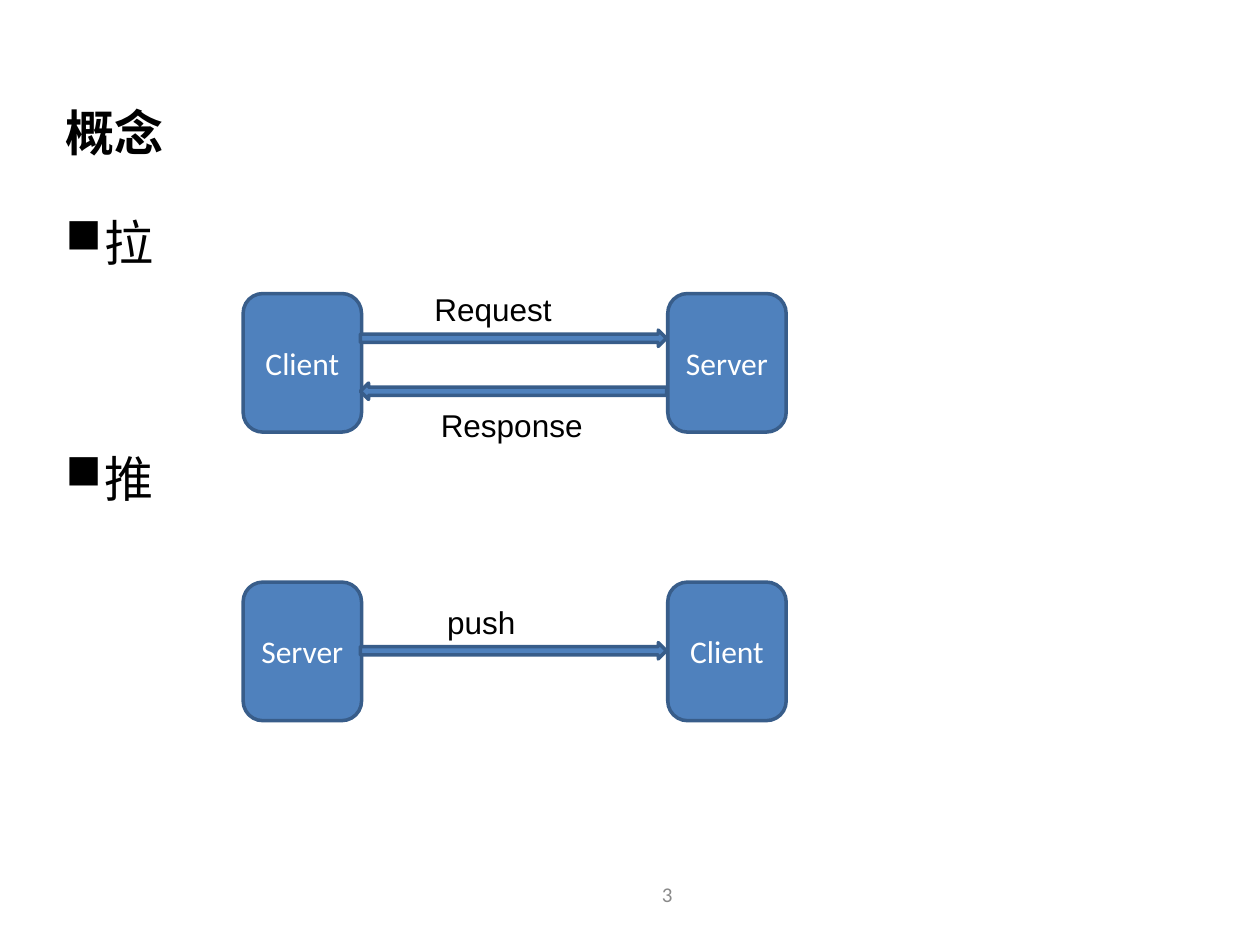
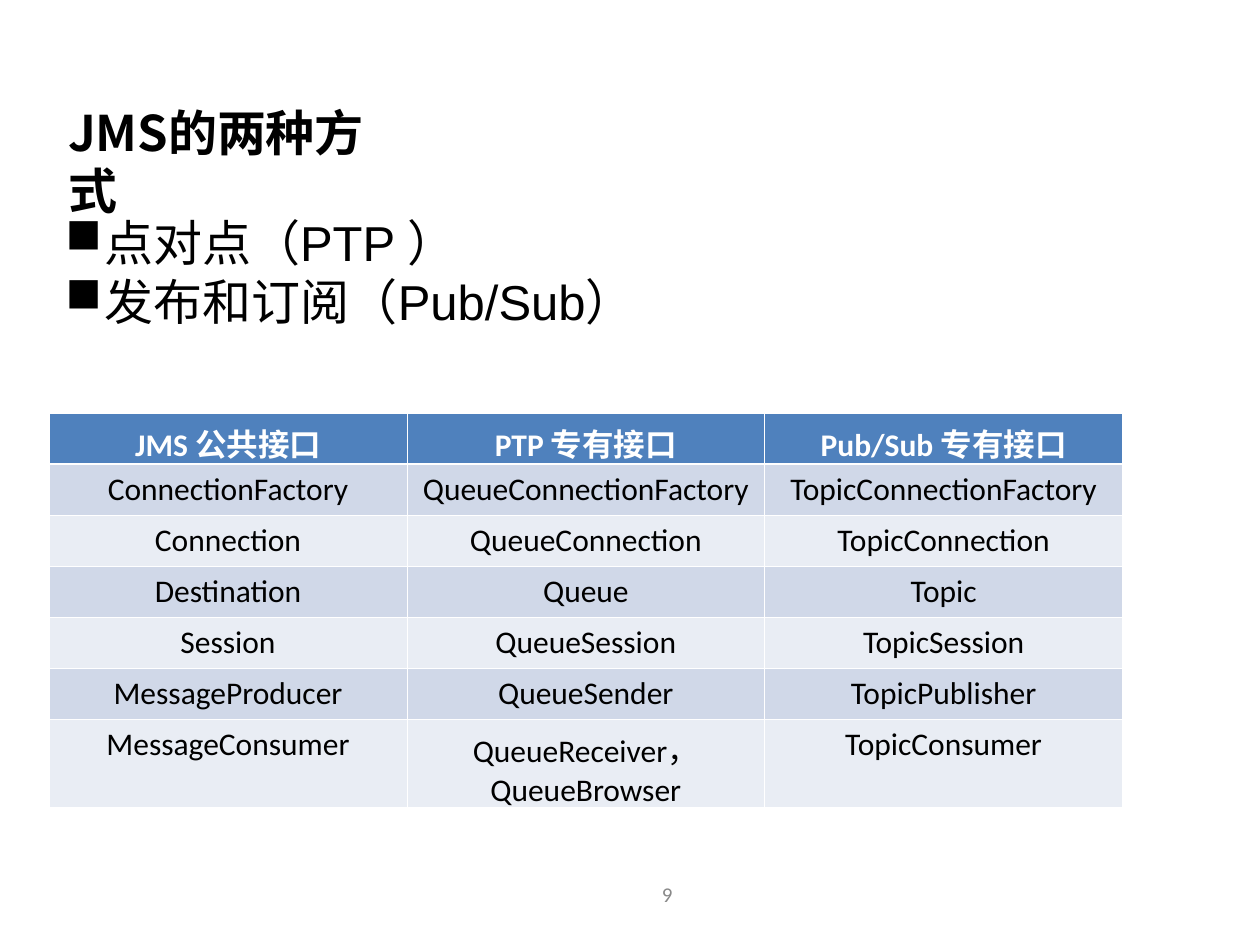
from lxml import etree
from pptx import Presentation
from pptx.dml.color import RGBColor
from pptx.enum import shapes, text
from pptx.oxml import ns
from pptx.util import Inches, Pt

COLORS = {
    "ink": "000000",
    "paper": "FFFFFF",
    "blue": "4F81BD",
    "edge": "385D8A",
    "number": "898989",
    "band_dark": "D0D8E8",
    "band_light": "E9EDF4",
}
CJK = "Noto Sans CJK SC"
INTERFACES = [
    ("JMS 公共接口", "PTP 专有接口", "Pub/Sub 专有接口"),
    ("ConnectionFactory", "QueueConnectionFactory", "TopicConnectionFactory"),
    ("Connection", "QueueConnection", "TopicConnection"),
    ("Destination", "Queue", "Topic"),
    ("Session", "QueueSession", "TopicSession"),
    ("MessageProducer", "QueueSender", "TopicPublisher"),
    ("MessageConsumer", "QueueReceiver，QueueBrowser", "TopicConsumer"),
]


def rgb(name):
    """Return the named colour."""
    return RGBColor.from_string(COLORS[name])


def style(p, size, name, color="ink", bold=False, align=text.PP_ALIGN.LEFT):
    """Set alignment and font of a paragraph, with one font for Chinese."""
    p.alignment = align
    font = p.font
    font.size, font.name, font.bold = Pt(size), name, bold
    font.color.rgb = rgb(color)
    r_pr = p._p.pPr.find(ns.qn("a:defRPr"))
    etree.SubElement(r_pr, ns.qn("a:ea"), typeface=CJK)


def add_text(slide, box, content, size, name, **look):
    """Add a wrapping text box with one paragraph."""
    sp = slide.shapes.add_textbox(*map(Inches, box))
    tf = sp.text_frame
    tf.word_wrap = True
    p = tf.paragraphs[0]
    p.text = content
    style(p, size, name, **look)
    return sp


def add_page(prs, title, left, width, number):
    """Add a title-only slide with its title and page number."""
    slide = prs.slides.add_slide(prs.slide_layouts[5])
    sp = slide.shapes.title
    sp.left, sp.top, sp.width, sp.height = map(Inches, (left, 0.76, width, 0.57))
    tf = sp.text_frame
    tf.text = title
    tf.word_wrap = True
    tf.auto_size = text.MSO_AUTO_SIZE.NONE
    tf.vertical_anchor = text.MSO_ANCHOR.TOP
    style(tf.paragraphs[0], 28, CJK, bold=True)
    footer = add_text(slide, (4.13, 6.9, 2.33, 0.4), str(number), 12, "Calibri",
                      color="number", align=text.PP_ALIGN.CENTER)
    footer.text_frame.vertical_anchor = text.MSO_ANCHOR.MIDDLE
    return slide


def add_bullets(slide, height, items, gap=0):
    """Add square-bulleted lines, gap points apart."""
    sp = slide.shapes.add_textbox(*map(Inches, (0.42, 1.64, 8.6, height)))
    tf = sp.text_frame
    tf.word_wrap = True
    for i, item in enumerate(items):
        p = tf.add_paragraph() if i else tf.paragraphs[0]
        p.text = item
        p_pr = p._p.get_or_add_pPr()
        p_pr.set("marL", str(Inches(0.31)))
        p_pr.set("indent", str(-Inches(0.31)))
        etree.SubElement(p_pr, ns.qn("a:buChar"), char="■")
        if i and gap:
            p.space_before = Pt(gap)
        style(p, 28, "Arial")


def add_block(slide, kind, box):
    """Add a blue shape with a darker edge."""
    sp = slide.shapes.add_shape(kind, *map(Inches, box))
    sp.shadow.inherit = False
    sp.fill.solid()
    sp.fill.fore_color.rgb = rgb("blue")
    sp.line.color.rgb = rgb("edge")
    sp.line.width = Pt(2)
    return sp


def add_exchange(slide, left, top, parties, messages):
    """Draw two parties and the labelled arrows between them."""
    for i, party in enumerate(parties):
        sp = add_block(slide, shapes.MSO_SHAPE.ROUNDED_RECTANGLE,
                       (left + 3.37 * i, top, 0.94, 1.1))
        tf = sp.text_frame
        tf.vertical_anchor = text.MSO_ANCHOR.MIDDLE
        tf.text = party
        style(tf.paragraphs[0], 18, "Calibri", "paper", align=text.PP_ALIGN.CENTER)
    for label, dx, dy, arrow_dy, rotation in messages:
        arrow = add_block(slide, shapes.MSO_SHAPE.RIGHT_ARROW,
                          (left + 0.93, top + arrow_dy, 2.43, 0.13))
        arrow.rotation = rotation
        add_text(slide, (left + dx, top + dy, 1.37, 0.4), label, 18, "Arial")


def add_border(cell, side, width):
    """Draw one white border of a cell."""
    ln = etree.SubElement(cell._tc.get_or_add_tcPr(), ns.qn(f"a:ln{side}"),
                          w=str(Pt(width)))
    fill = etree.SubElement(ln, ns.qn("a:solidFill"))
    etree.SubElement(fill, ns.qn("a:srgbClr"), val=COLORS["paper"])


def add_interfaces(slide, left, top, width, height, rows):
    """Add the banded interface table."""
    frame = slide.shapes.add_table(len(rows), len(rows[0]),
                                   *map(Inches, (left, top, width, height)))
    table = frame.table
    table.horz_banding = False
    head, last = 0.4, 0.7
    middle = (height - head - last) / (len(rows) - 2)
    heights = [head] + [middle] * (len(rows) - 2) + [last]
    for i, row in enumerate(rows):
        table.rows[i].height = Inches(heights[i])
        band = "blue" if i == 0 else "band_dark" if i % 2 else "band_light"
        for j, value in enumerate(row):
            cell = table.cell(i, j)
            for side in "LRTB":
                heavy = (i, side) in ((0, "B"), (1, "T"))
                add_border(cell, side, 1.47 if heavy else 0.45)
            cell.fill.solid()
            cell.fill.fore_color.rgb = rgb(band)
            cell.text = value
            style(cell.text_frame.paragraphs[0], 18, "Calibri",
                  "ink" if i else "paper", i == 0, text.PP_ALIGN.CENTER)


def build_concepts(prs):
    """Build the slide on pull and push."""
    slide = add_page(prs, "概念", 0.42, 1, 3)
    add_bullets(slide, 4.77, ["拉", "推"], gap=101)
    add_exchange(slide, 1.93, 2.33, ("Client", "Server"), [
        ("Request", 1.42, -0.08, 0.29, 0),
        ("Response", 1.47, 0.84, 0.71, 180),
    ])
    add_exchange(slide, 1.93, 4.62, ("Server", "Client"),
                 [("push", 1.52, 0.12, 0.48, 0)])


def build_jms_modes(prs):
    """Build the slide on the two JMS modes."""
    slide = add_page(prs, "JMS的两种方式", 0.44, 2.75, 9)
    add_bullets(slide, 1.04, ["点对点（PTP ）", "发布和订阅（Pub/Sub）"])
    add_interfaces(slide, 0.39, 3.28, 8.52, 3.13, INTERFACES)


def main():
    """Build and save the deck."""
    prs = Presentation()
    prs.slide_width, prs.slide_height = Inches(10), Inches(7.5)
    build_concepts(prs)
    build_jms_modes(prs)
    prs.save("out.pptx")


if __name__ == "__main__":
    main()
